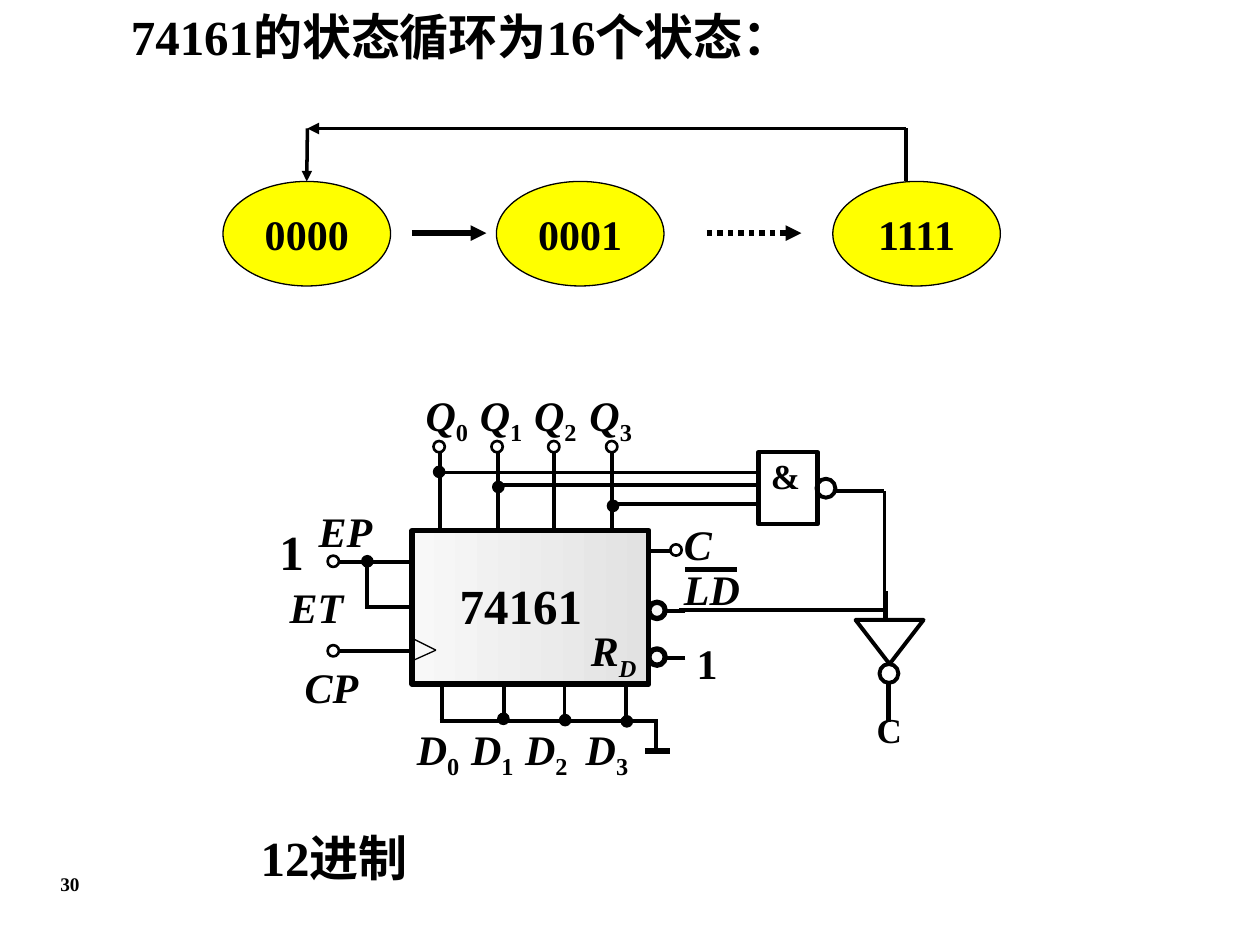
from dataclasses import dataclass
from typing import Optional

from lxml.etree import SubElement
from pptx import Presentation
from pptx.dml.color import RGBColor
from pptx.enum.dml import MSO_LINE
from pptx.enum.shapes import MSO_CONNECTOR, MSO_SHAPE as Preset
from pptx.enum.text import MSO_ANCHOR, PP_ALIGN
from pptx.oxml.ns import qn
from pptx.util import Inches, Pt

COLORS = {"ink": "000000", "state": "FFFF00", "pin": "FFFFFF",
          "chip_light": "F8F8F8", "chip_dark": "E2E2E2"}
FONT = "Times New Roman"


@dataclass
class Wire:
    x1: float
    y1: float
    x2: float
    y2: float
    weight: float = 2.25
    arrow: bool = False
    dotted: bool = False


@dataclass
class Symbol:
    left: float
    top: float
    width: float
    height: float
    preset: Preset = Preset.OVAL
    fill: Optional[str] = None
    weight: float = 2.25


@dataclass
class Piece:
    text: str
    italic: bool = True
    sub: bool = False


@dataclass
class Label:
    left: float
    top: float
    width: float
    height: float
    pieces: list[Piece]
    size: float = 24
    tabs: tuple[float, ...] = ()
    wrap: bool = True
    align: PP_ALIGN = PP_ALIGN.LEFT


def rgb(name: str) -> RGBColor:
    """Look up a named colour."""
    return RGBColor.from_string(COLORS[name])


def plain(text: str) -> list[Piece]:
    """Wrap upright text as label pieces."""
    return [Piece(text, italic=False)]


def indexed(letter: str) -> list[Piece]:
    """Spell four numbered signal names separated by tabs."""
    return [piece for i in range(4)
            for piece in (Piece(letter), Piece(f"{i}" + "\t" * (i < 3), False, True))]


def write(paragraph, pieces: list[Piece], size: float) -> None:
    """Fill a paragraph with bold runs."""
    font = paragraph.font
    font.name, font.size, font.bold = FONT, Pt(size), True
    font.color.rgb = rgb("ink")
    same = len({piece.italic for piece in pieces}) == 1
    if same:
        font.italic = pieces[0].italic
    for piece in pieces:
        run = paragraph.add_run()
        run.text = piece.text
        if not same:
            run.font.italic = piece.italic
        if piece.sub:
            run.font._element.set("baseline", "-25000")


def draw_wire(slide, wire: Wire):
    """Draw a straight line, arrowed or dotted if asked."""
    line = slide.shapes.add_connector(
        MSO_CONNECTOR.STRAIGHT, Inches(wire.x1), Inches(wire.y1), Inches(wire.x2), Inches(wire.y2))
    line.line.color.rgb = rgb("ink")
    line.line.width = Pt(wire.weight)
    if wire.dotted:
        line.line.dash_style = MSO_LINE.ROUND_DOT
    if wire.arrow:
        SubElement(line.line._get_or_add_ln(), qn("a:tailEnd"), type="triangle")
    SubElement(line._element.spPr, qn("a:effectLst"))
    return line


def draw_symbol(slide, symbol: Symbol):
    """Draw an outlined preset shape."""
    shape = slide.shapes.add_shape(
        symbol.preset, Inches(symbol.left), Inches(symbol.top),
        Inches(symbol.width), Inches(symbol.height))
    shape.shadow.inherit = False
    shape.line.color.rgb = rgb("ink")
    shape.line.width = Pt(symbol.weight)
    if symbol.fill:
        shape.fill.solid()
        shape.fill.fore_color.rgb = rgb(symbol.fill)
    else:
        shape.fill.background()
    return shape


def draw_label(slide, label: Label) -> None:
    """Draw a text box."""
    frame = slide.shapes.add_textbox(
        Inches(label.left), Inches(label.top), Inches(label.width), Inches(label.height)).text_frame
    frame.word_wrap = label.wrap
    paragraph = frame.paragraphs[0]
    paragraph.alignment = label.align
    if label.tabs:
        stops = SubElement(paragraph._p.get_or_add_pPr(), qn("a:tabLst"))
        for tab in label.tabs:
            SubElement(stops, qn("a:tab"), pos=str(Inches(tab)), algn="l")
    write(paragraph, label.pieces, label.size)


def draw_state(slide, left: float, code: str):
    """Draw one counter state."""
    state = draw_symbol(slide, Symbol(left, 1.44, 1.33, 0.83, fill="state", weight=0.75))
    frame = state.text_frame
    frame.word_wrap = False
    frame.vertical_anchor = MSO_ANCHOR.MIDDLE
    frame.paragraphs[0].alignment = PP_ALIGN.CENTER
    write(frame.paragraphs[0], plain(code), 24)
    return state


def draw_chip(slide) -> None:
    """Draw the counter body with its clock mark."""
    chip = draw_symbol(slide, Symbol(3.27, 4.21, 1.88, 1.22, Preset.RECTANGLE, weight=3))
    chip.fill.gradient()
    chip.fill.gradient_angle = 0
    for stop, shade in zip(chip.fill.gradient_stops, ("chip_light", "chip_dark")):
        stop.color.rgb = rgb(shade)
    for edge_y in (5.06, 5.25):
        draw_wire(slide, Wire(3.26, edge_y, 3.46, 5.16, 0.75))


Q_PINS = [3.49, 3.95, 4.4, 4.86]
D_PINS = [3.51, 4, 4.48, 4.97]
STATE_ARROWS = [Wire(5.61, 1.85, 6.36, 1.85, 3, True, True), Wire(3.27, 1.85, 3.86, 1.85, 3, True),
                Wire(7.19, 1.02, 2.44, 1.02, arrow=True), Wire(7.19, 1.02, 7.19, 1.44)]
WIRES = [
    Wire(7.03, 4.92, 7.03, 4.69, 3), Wire(7.05, 5.42, 7.05, 5.73, 3),
    Wire(3.47, 3.75, 6.03, 3.75), Wire(3.97, 3.85, 6.03, 3.85), Wire(4.85, 4, 6.03, 4),
    Wire(5.39, 4.84, 7.02, 4.84), Wire(6.62, 3.9, 7.02, 3.9), Wire(7.02, 3.9, 7.02, 4.84),
    Wire(3.49, 5.72, 5.22, 5.72), Wire(5.21, 5.72, 5.21, 5.95), Wire(5.12, 5.96, 5.32, 5.96, 3),
    Wire(2.6, 4.46, 3.27, 4.46), Wire(2.91, 4.46, 2.91, 4.81), Wire(2.9, 4.82, 3.53, 4.82),
    Wire(2.6, 5.17, 3.25, 5.17), Wire(5.41, 4.37, 5.13, 4.37), Wire(5.44, 4.85, 5.16, 4.85),
    Wire(5.44, 5.22, 5.16, 5.22), Wire(5.44, 4.52, 5.85, 4.52, 3),
    *(Wire(x, 3.52, x, 4.19) for x in Q_PINS), *(Wire(x, 5.72, x, 5.44) for x in D_PINS)]
JUNCTIONS = [(3.95, 5.66), (4.44, 5.67), (4.93, 5.68), (3.44, 3.7), (3.91, 3.82),
             (4.82, 3.97), (2.87, 4.41)]
TERMINALS = [*((round(x - 0.05, 2), 3.5) for x in Q_PINS), (2.6, 4.41), (2.6, 5.12), (5.32, 4.32)]
SYMBOLS = [
    Symbol(6.79, 4.92, 0.54, 0.35, Preset.FLOWCHART_MERGE), Symbol(6.98, 5.27, 0.15, 0.15),
    Symbol(6.48, 3.8, 0.15, 0.15), Symbol(6.02, 3.59, 0.47, 0.57, Preset.RECTANGLE, weight=2.5),
    *(Symbol(5.15, y, 0.13, 0.13, fill="chip_light", weight=3) for y in (4.78, 5.15)),
    *(Symbol(x, y, 0.09, 0.09, fill="ink", weight=0.75) for x, y in JUNCTIONS),
    *(Symbol(x, y, 0.09, 0.09, fill="pin", weight=1.5) for x, y in TERMINALS)]
LABELS = [
    Label(0.06, 6.87, 0.99, 0.37, plain("30"), 11, align=PP_ALIGN.CENTER),
    Label(0.94, 0, 6.69, 0.67, plain("74161的状态循环为16个状态："), 28),
    Label(6.86, 5.57, 0.52, 0.44, plain("C"), 20), Label(6.02, 3.56, 0.4, 0.44, plain("&"), 20),
    Label(3.28, 3.04, 2.29, 0.5, indexed("Q"), tabs=(0.43, 0.86, 1.3)),
    Label(3.21, 5.69, 2.72, 0.5, indexed("D"), tabs=(0.43, 0.86, 1.34)),
    Label(5.33, 4.42, 0.85, 0.5, [Piece("LD")]), Label(5.33, 4.07, 0.92, 0.5, [Piece("C")]),
    Label(2.32, 5.2, 0.91, 0.5, [Piece("CP")]), Label(2.2, 4.57, 1.08, 0.5, [Piece("ET")]),
    Label(2.43, 3.96, 1.16, 0.5, [Piece("EP")]), Label(3.55, 4.52, 1.45, 0.57, plain("74161"), 28),
    Label(4.59, 4.91, 0.59, 0.51, [Piece("R"), Piece("D", sub=True)], wrap=False),
    Label(2.12, 4.09, 0.4, 0.57, plain("1"), 28, wrap=False),
    Label(5.43, 5.01, 0.55, 0.5, plain("1")), Label(1.97, 6.52, 2.62, 0.57, plain("12进制"), 28)]


def main() -> None:
    """Build the counter slide."""
    deck = Presentation()
    deck.slide_width, deck.slide_height = Inches(10), Inches(7.5)
    slide = deck.slides.add_slide(deck.slide_layouts[6])
    states = [draw_state(slide, left, code)
              for left, code in ((1.77, "0000"), (3.94, "0001"), (6.61, "1111"))]
    for wire in STATE_ARROWS + WIRES:
        draw_wire(slide, wire)
    draw_wire(slide, Wire(2.44, 1.02, 2.44, 1.44, 2, True)).end_connect(states[0], 0)
    draw_chip(slide)
    for symbol in SYMBOLS:
        draw_symbol(slide, symbol)
    for label in LABELS:
        draw_label(slide, label)
    deck.save("out.pptx")


if __name__ == "__main__":
    main()
